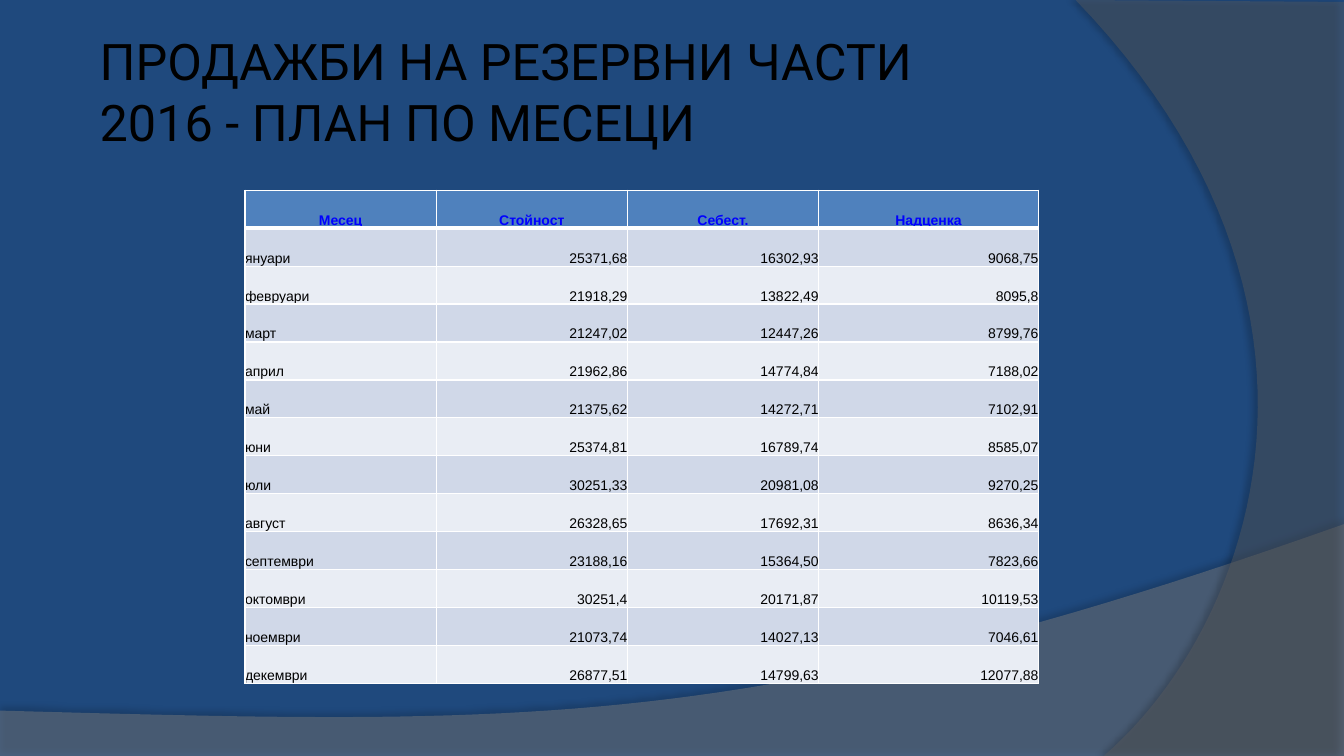
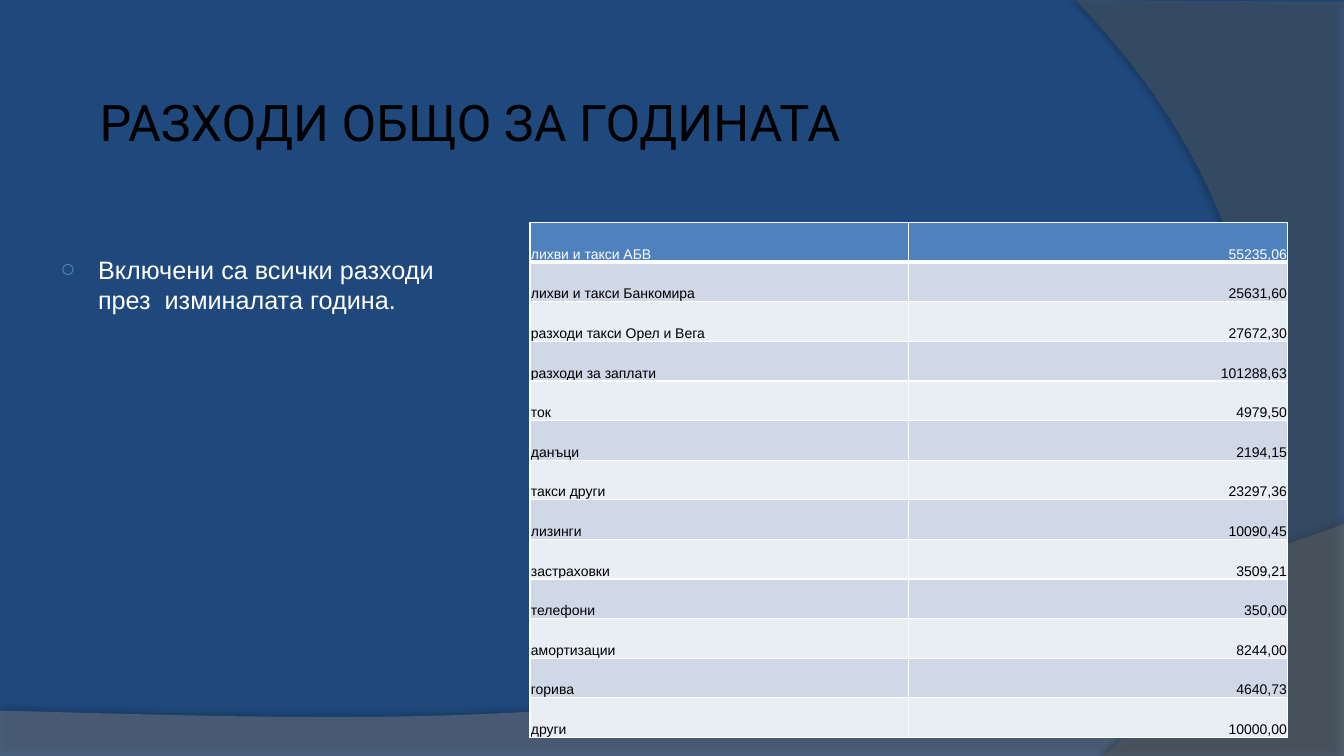
from lxml import etree
from pptx import Presentation
from pptx.dml.color import RGBColor
from pptx.enum.text import MSO_ANCHOR, MSO_AUTO_SIZE, PP_ALIGN
from pptx.oxml import parse_xml
from pptx.oxml.ns import qn
from pptx.util import Pt

LEFT, MID, RIGHT = PP_ALIGN.LEFT, PP_ALIGN.CENTER, PP_ALIGN.RIGHT
BOTTOM, MIDDLE = MSO_ANCHOR.BOTTOM, MSO_ANCHOR.MIDDLE
FIXED = MSO_AUTO_SIZE.NONE
NS = 'xmlns:a="http://schemas.openxmlformats.org/drawingml/2006/main"'
HEX = {
    "back": "1F497D", "wave": "7F7F7F", "arc": "5E5E5E", "head": "4F81BD",
    "odd": "D0D8E8", "even": "E9EDF4", "black": "000000", "white": "FFFFFF",
    "blue": "0000FF",
}

# Curved bands: start, straight points, Bezier curve, fill, shadow
BANDS = [
    {"color": "wave", "alpha": 45, "shade": (35, 4, 3.5, 270),
     "line": [(0, 507.6), (0, 540), (960, 540), (960, 374.4)],
     "curve": [(536.4, 524.88), (375.12, 517.68), (0, 507.6)]},
    {"color": "arc", "alpha": 40, "shade": (45, 4, 4, 180),
     "line": [(960, 1.44), (960, 540), (788.4, 540)],
     "curve": [(897.12, 445.68), (977.04, 216), (768.24, 0)]},
]
STEPS = 48

PAGES = [
    {"title": "ПРОДАЖБИ НА РЕЗЕРВНИ ЧАСТИ 2016 - ПЛАН ПО МЕСЕЦИ", "width": 669,
     "at": (175, 135.9), "cols": [136.6, 136.6, 136.6, 157], "row": 27.1,
     "inset": 0, "top": ("blue", True, MID), "note": None,
     "rows": [
         ("Месец", "Стойност", "Себест.", "Надценка"),
         ("януари", "25371,68", "16302,93", "9068,75"),
         ("февруари", "21918,29", "13822,49", "8095,8"),
         ("март", "21247,02", "12447,26", "8799,76"),
         ("април", "21962,86", "14774,84", "7188,02"),
         ("май", "21375,62", "14272,71", "7102,91"),
         ("юни", "25374,81", "16789,74", "8585,07"),
         ("юли", "30251,33", "20981,08", "9270,25"),
         ("август", "26328,65", "17692,31", "8636,34"),
         ("септември", "23188,16", "15364,50", "7823,66"),
         ("октомври", "30251,4", "20171,87", "10119,53"),
         ("ноември", "21073,74", "14027,13", "7046,61"),
         ("декември", "26877,51", "14799,63", "12077,88"),
     ]},
    {"title": "РАЗХОДИ ОБЩО ЗА ГОДИНАТА", "width": 551,
     "at": (378.5, 159), "cols": [270.7, 270.7], "row": 28.3,
     "inset": 0.75, "top": ("white", False, None),
     "note": "Включени са всички разходи през  изминалата година.",
     "rows": [
         ("лихви и такси АБВ", "55235,06"),
         ("лихви и такси Банкомира", "25631,60"),
         ("разходи такси Орел и Вега", "27672,30"),
         ("разходи за заплати", "101288,63"),
         ("ток", "4979,50"),
         ("данъци", "2194,15"),
         ("такси други", "23297,36"),
         ("лизинги", "10090,45"),
         ("застраховки", "3509,21"),
         ("телефони", "350,00"),
         ("амортизации", "8244,00"),
         ("горива", "4640,73"),
         ("други", "10000,00"),
     ]},
]


def shadow(alpha, blur, dist, angle):
    return parse_xml(
        f'<a:effectLst {NS}><a:outerShdw blurRad="{Pt(blur)}" dist="{Pt(dist)}" '
        f'dir="{angle * 60000}" algn="ctr" rotWithShape="0">'
        f'<a:srgbClr val="{HEX["black"]}"><a:alpha val="{alpha * 1000}"/>'
        '</a:srgbClr></a:outerShdw></a:effectLst>')


def write(para, text, size, font, color, bold=False, shade=None):
    run = para.add_run()
    run.text = text
    run.font.size, run.font.name, run.font.bold = Pt(size), font, bold
    run.font.color.rgb = RGBColor.from_string(HEX[color])
    if shade:
        fill = run.font.fill._xPr.find(qn("a:solidFill"))
        fill.addnext(shadow(*shade))


deck = Presentation()
deck.slide_width, deck.slide_height = Pt(960), Pt(540)
back = deck.slide_master.background.fill
back.solid()
back.fore_color.rgb = RGBColor.from_string(HEX["back"])

for page in PAGES:
    slide = deck.slides.add_slide(deck.slide_layouts[5])

    # Bands
    for band in BANDS:
        dots = list(band["line"])
        ends = [dots[-1]] + band["curve"]
        for step in range(1, STEPS + 1):
            t = step / STEPS
            parts = ((1 - t) ** 3, 3 * t * (1 - t) ** 2, 3 * t * t * (1 - t), t ** 3)
            dots.append(tuple(sum(w * p[axis] for w, p in zip(parts, ends))
                              for axis in (0, 1)))
        dots = [(Pt(x), Pt(y)) for x, y in dots]
        path = slide.shapes.build_freeform(*dots[0])
        path.add_line_segments(dots[1:], close=True)
        shape = path.convert_to_shape()
        shape.line.fill.background()
        shape.fill.solid()
        shape.fill.fore_color.rgb = RGBColor.from_string(HEX[band["color"]])
        tint = shape._element.spPr.find(qn("a:solidFill"))[0]
        etree.SubElement(tint, qn("a:alpha"), val=str(band["alpha"] * 1000))
        shape._element.spPr.append(shadow(*band["shade"]))

    # Title, in front of the bands
    title = slide.shapes.title
    title._element.getparent().append(title._element)
    title.left, title.top = Pt(64), Pt(35.3)
    title.width, title.height = Pt(page["width"]), Pt(76.3)
    frame = title.text_frame
    frame.auto_size, frame.word_wrap = FIXED, True
    frame.vertical_anchor = BOTTOM
    frame.paragraphs[0].alignment = LEFT
    write(frame.paragraphs[0], page["title"], 36, "Roboto", "black",
          shade=(60, 4, 2, 90))

    # Table
    rows, cols = page["rows"], page["cols"]
    x, y = page["at"]
    table = slide.shapes.add_table(
        len(rows), len(cols), Pt(x), Pt(y),
        Pt(sum(cols)), Pt(page["row"] * len(rows))).table
    for col, width in zip(table.columns, cols):
        col.width = Pt(width)
    for r, row in enumerate(rows):
        table.rows[r].height = Pt(page["row"])
        color, bold, align = page["top"] if r == 0 else ("black", False, None)
        for c, text in enumerate(row):
            cell = table.cell(r, c)
            cell.margin_left = cell.margin_right = cell.margin_top = Pt(page["inset"])
            cell.margin_bottom = 0
            cell.vertical_anchor = BOTTOM
            props = cell._tc.get_or_add_tcPr()
            for side in "LRTB":
                thick = (side == "B" and r == 0) or (side == "T" and r == 1)
                props.append(parse_xml(
                    f'<a:ln{side} {NS} w="{Pt(3 if thick else 1)}"><a:solidFill>'
                    f'<a:srgbClr val="{HEX["white"]}"/></a:solidFill></a:ln{side}>'))
            cell.fill.solid()
            tone = "head" if r == 0 else "odd" if r % 2 else "even"
            cell.fill.fore_color.rgb = RGBColor.from_string(HEX[tone])
            para = cell.text_frame.paragraphs[0]
            para.alignment = align or (RIGHT if c else LEFT)
            write(para, text, 10, "Arial", color, bold)

    # Bulleted note
    if page["note"]:
        box = slide.shapes.add_textbox(Pt(36), Pt(171.4), Pt(290.9), Pt(63.4))
        frame = box.text_frame
        frame.word_wrap, frame.vertical_anchor = True, MIDDLE
        para = frame.paragraphs[0]
        para.space_before, para.space_after = Pt(3.6), Pt(6)
        props = para._p.get_or_add_pPr()
        props.set("marL", str(Pt(27)))
        props.set("indent", str(-Pt(27)))
        tint = etree.SubElement(props, qn("a:buClr"))
        etree.SubElement(tint, qn("a:srgbClr"), val=HEX["head"])
        etree.SubElement(props, qn("a:buFont"), typeface="Arial")
        etree.SubElement(props, qn("a:buChar"), char="○")
        write(para, page["note"], 18, "Arial", "white", shade=(60, 4, 2, 90))

deck.save("out.pptx")
